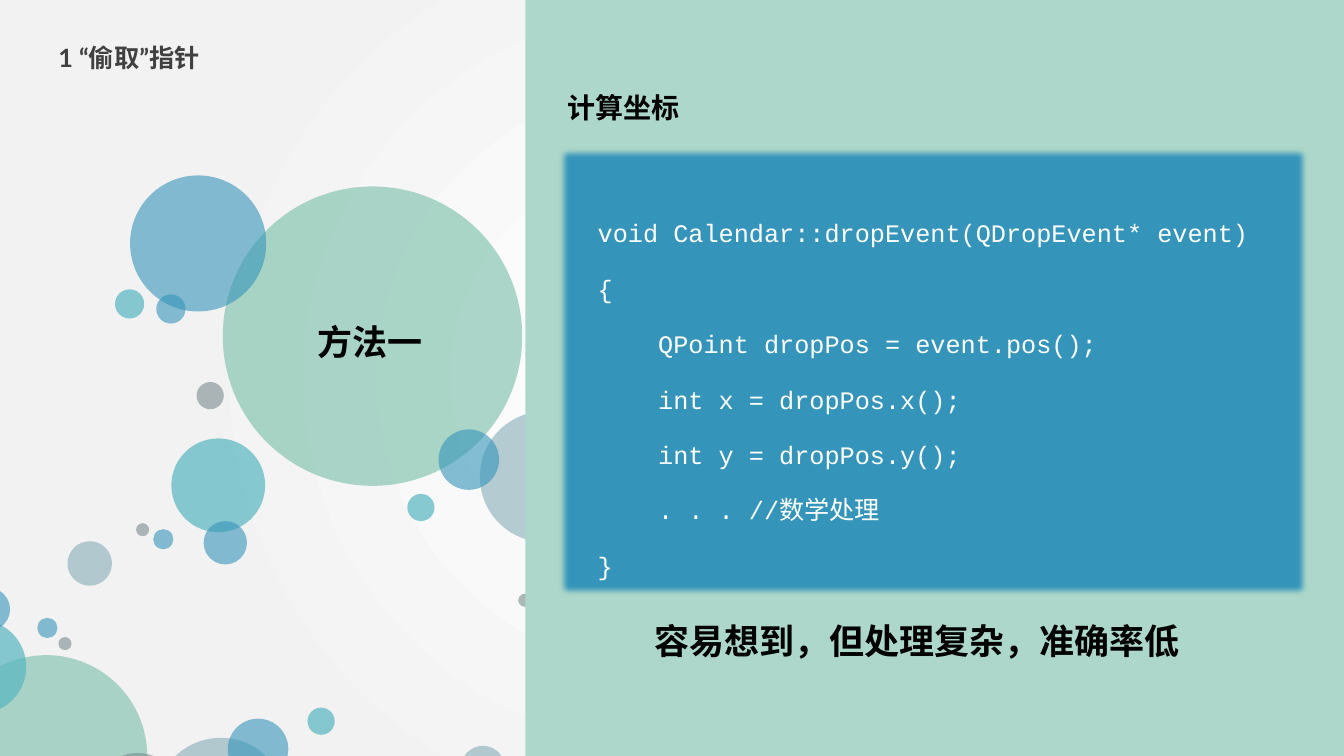
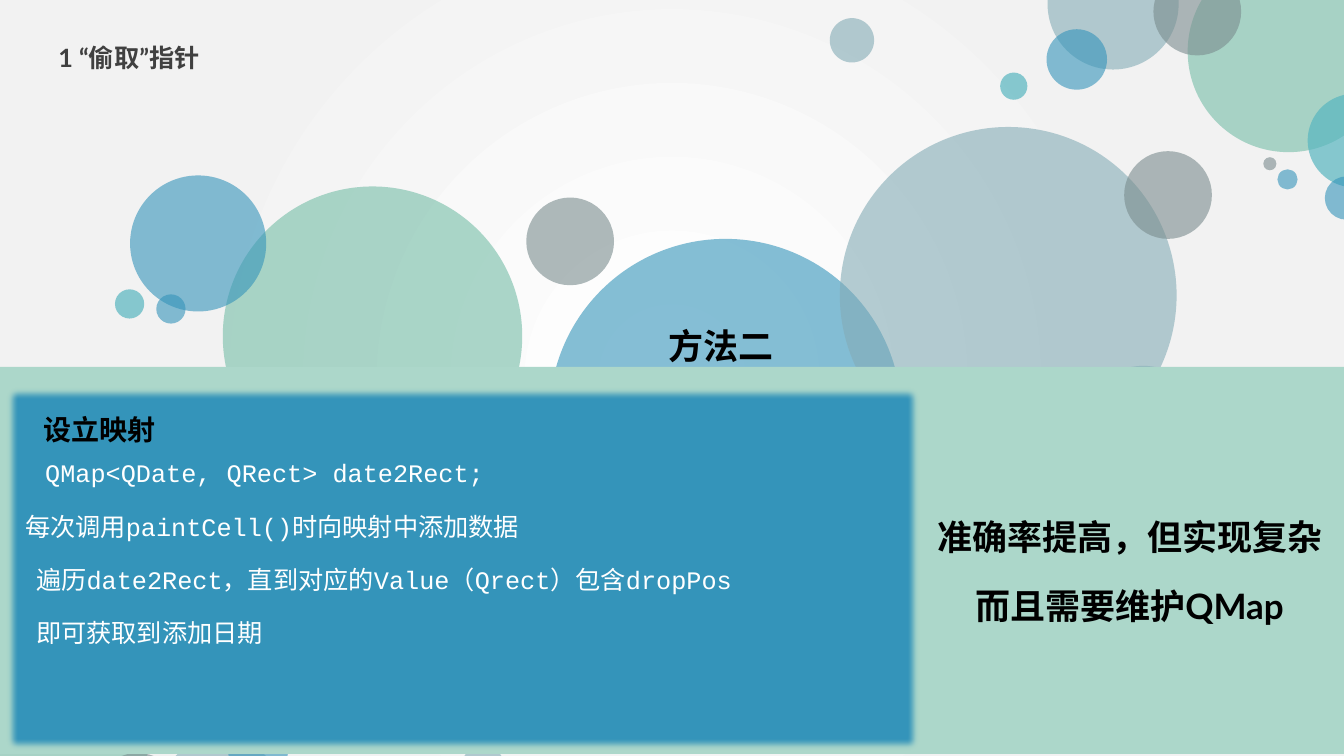
from pptx import Presentation
from pptx.dml.color import RGBColor
from pptx.enum.shapes import MSO_SHAPE
from pptx.enum.text import MSO_ANCHOR, MSO_AUTO_SIZE, PP_ALIGN
from pptx.oxml import parse_xml
from pptx.oxml.ns import nsdecls, qn
from pptx.util import Inches, Pt
from lxml.etree import SubElement

COLORS = {
    "blue": "3494BA",
    "navy": "266D8A",
    "teal": "58B6C0",
    "green": "75BDA7",
    "mist": "84ACB6",
    "gray": "7A8C8E",
    "panel": "ACD7CA",
    "heading": "404040",
    "black": "000000",
    "white": "FFFFFF",
    "haze": "F2F2F2",
}
OPACITY = {"teal": 70}

STYLES = {
    "heading": ({"name": "Lato", "size": Pt(18), "bold": True}, "heading"),
    "topic": ({"name": "Lato", "size": Pt(20), "bold": True}, "black"),
    "statement": ({"name": "Lato", "size": Pt(25), "bold": True}, "black"),
    "code": ({"name": "Courier New", "size": Pt(18), "bold": False}, "white"),
    "prose": ({"name": "Calibri", "size": Pt(18), "bold": False}, "white"),
}

CORNER_BUBBLES = [
    (1.54, 7.32, 1.3, "mist"),
    (-0.54, 6.5, 2, "green"),
    (0.93, 7.47, 0.87, "gray"),
    (2.26, 7.13, 0.6, "blue"),
    (4.57, 7.4, 0.44, "mist"),
]
METHOD_BUBBLES = [
    (5.22, 1.96, 0.87, "gray"),
    (2.21, 1.85, 2.97, "green"),
    (1.29, 1.74, 1.35, "blue"),
    (1.55, 2.92, 0.29, "blue"),
    (1.14, 2.87, 0.29, "teal"),
]
LEFT_BUBBLES = [
    (-0.67, 6.15, 0.93, "teal"),
    (3.05, 7.02, 0.27, "teal"),
    (-0.33, 5.83, 0.43, "blue"),
    (0.37, 6.13, 0.2, "blue"),
    (0.58, 6.32, 0.13, "gray"),
    (4.76, 4.08, 1.3, "mist"),
    (4.35, 4.26, 0.6, "blue"),
    (4.04, 4.9, 0.27, "teal"),
    (5.14, 5.89, 0.13, "gray"),
    (0.67, 5.37, 0.44, "mist"),
    (1.95, 3.79, 0.27, "gray"),
    (1.7, 4.35, 0.93, "teal"),
    (2.02, 5.17, 0.43, "blue"),
    (1.52, 5.25, 0.2, "blue"),
    (1.35, 5.19, 0.13, "gray"),
]
TOP_BUBBLES = [
    (10.39, -0.61, 1.3, "mist"),
    (11.78, -0.49, 2, "green"),
    (11.44, -0.32, 0.87, "gray"),
    (10.38, 0.29, 0.6, "blue"),
    (12.97, 0.93, 0.93, "teal"),
    (9.92, 0.72, 0.27, "teal"),
    (13.14, 1.75, 0.43, "blue"),
    (12.67, 1.68, 0.2, "blue"),
    (12.53, 1.56, 0.13, "gray"),
    (8.23, 0.18, 0.44, "mist"),
    (5.45, 2.37, 3.49, "blue"),
    (8.33, 1.26, 3.34, "mist"),
    (10.69, 3.63, 1.3, "mist"),
    (11.15, 1.5, 0.87, "gray"),
]

DROP_CODE = [
    (0.3, [("void Calendar::dropEvent(QDropEvent* event)", "code")]),
    (0.3, [("{", "code")]),
    (0.3, [("    QPoint dropPos = event.pos();", "code")]),
    (0.3, [("    int x = dropPos.x();", "code")]),
    (0.3, [("    int y = dropPos.y();", "code")]),
    (0.3, [("    . . . //数学处理", "code")]),
    (0.3, [("}", "code")]),
]
MAP_STEPS = [
    (0.3, [("QMap<QDate, QRect> date2Rect;", "code")]),
    (0.1, [("每次调用", "prose"), ("paintCell()", "code"), ("时向映射中添加数据", "prose")]),
    (0.21, [("遍历", "prose"), ("date2Rect", "code"), ("，直到对应的", "prose"),
            ("Value（Qrect）", "code"), ("包含", "prose"), ("dropPos", "code")]),
    (0.21, [("即可获取到添加日期", "prose")]),
]


def rgb(color):
    return RGBColor.from_string(COLORS[color])


def set_background(master):
    master.background.fill.solid()
    background = master.element.find(".//" + qn("p:bgPr"))
    stops = "".join(
        f'<a:gs pos="{position}"><a:srgbClr val="{COLORS[color]}"/></a:gs>'
        for position, color in ((0, "white"), (67000, "haze"), (100000, "haze"))
    )
    gradient = parse_xml(
        f'<a:gradFill {nsdecls("a")} rotWithShape="1"><a:gsLst>{stops}</a:gsLst>'
        '<a:path path="circle"><a:fillToRect l="50000" t="50000" r="50000" b="50000"/>'
        "</a:path></a:gradFill>"
    )
    background.replace(background[0], gradient)


def add_filled(slide, preset, box, color):
    shape = slide.shapes.add_shape(preset, *map(Inches, box))
    shape.shadow.inherit = False
    shape.fill.solid()
    shape.fill.fore_color.rgb = rgb(color)
    shape.line.fill.background()
    return shape


def add_bubbles(slide, bubbles):
    for left, top, diameter, color in bubbles:
        bubble = add_filled(slide, MSO_SHAPE.OVAL, (left, top, diameter, diameter), color)
        tint = bubble._element.spPr.find(qn("a:solidFill"))[0]
        SubElement(tint, qn("a:alpha")).set("val", str(OPACITY.get(color, 60) * 1000))


def add_run(paragraph, text, style):
    run = paragraph.add_run()
    run.text = text
    formats, color = STYLES[style]
    for attribute, value in formats.items():
        setattr(run.font, attribute, value)
    run.font.color.rgb = rgb(color)
    SubElement(run._r.get_or_add_rPr(), qn("a:ea")).set("typeface", formats["name"])


def write_lines(frame, lines, align=PP_ALIGN.LEFT, gap=10):
    layout = {"word_wrap": True, "auto_size": MSO_AUTO_SIZE.NONE,
              "vertical_anchor": MSO_ANCHOR.TOP}
    for attribute, value in layout.items():
        setattr(frame, attribute, value)
    for number, (indent, runs) in enumerate(lines):
        paragraph = frame.add_paragraph() if number else frame.paragraphs[0]
        spacing = {"alignment": align, "line_spacing": 1.3,
                   "space_before": Pt(gap if number else 0)}
        for attribute, value in spacing.items():
            setattr(paragraph, attribute, value)
        if indent:
            paragraph._p.get_or_add_pPr().set("marL", str(Inches(indent)))
        for text, style in runs:
            add_run(paragraph, text, style)


def add_label(slide, box, texts, style="statement", align=PP_ALIGN.CENTER):
    label = slide.shapes.add_textbox(*map(Inches, box))
    write_lines(label.text_frame, [(0, [(text, style)]) for text in texts], align)


def add_code_panel(slide, box, lines, gap):
    panel = add_filled(slide, MSO_SHAPE.RECTANGLE, box, "blue")
    panel.line.color.rgb = rgb("navy")
    panel.line.width = Pt(1)
    effects = panel._element.spPr.find(qn("a:effectLst"))
    SubElement(effects, qn("a:softEdge")).set("rad", "63500")
    panel.text_frame.margin_top = Inches(0.62)
    write_lines(panel.text_frame, lines, gap=gap)


def add_method_slide(deck, bubbles):
    slide = deck.slides.add_slide(deck.slide_layouts[5])
    heading = slide.shapes.title
    places = {"left": 0.48, "top": 0.28, "width": 3.72, "height": 0.44}
    for side, inches in places.items():
        setattr(heading, side, Inches(inches))
    write_lines(heading.text_frame, [(0, [("1 “偷取”指针", "heading")])])
    add_bubbles(slide, CORNER_BUBBLES + METHOD_BUBBLES + bubbles)
    return slide


def add_coordinates_slide(deck):
    slide = add_method_slide(deck, LEFT_BUBBLES)
    add_label(slide, (2.31, 3.01, 2.72, 0.41), ["方法一"])
    add_filled(slide, MSO_SHAPE.RECTANGLE, (5.21, 0, 8.12, 7.5), "panel")
    add_code_panel(slide, (5.53, 1.45, 7.46, 4.48), DROP_CODE, 11.5)
    add_label(slide, (5.53, 0.75, 3.31, 0.54), ["计算坐标"], "topic", PP_ALIGN.LEFT)
    add_label(slide, (5.31, 5.97, 7.57, 0.41), ["容易想到，但处理复杂，准确率低"])


def add_mapping_slide(deck):
    slide = add_method_slide(deck, TOP_BUBBLES)
    add_label(slide, (5.79, 3.05, 2.72, 0.41), ["方法二"])
    add_filled(slide, MSO_SHAPE.RECTANGLE, (-0.03, 3.64, 13.36, 3.84), "panel")
    add_code_panel(slide, (0.05, 3.83, 9.08, 3.63), MAP_STEPS, 10)
    add_label(slide, (0.33, 3.94, 3.31, 0.54), ["设立映射"], "topic", PP_ALIGN.LEFT)
    add_label(slide, (7.42, 4.94, 7.57, 0.41), ["准确率提高，但实现复杂", "而且需要维护QMap"])


def main():
    deck = Presentation()
    deck.slide_width = Inches(13.33)
    deck.slide_height = Inches(7.5)
    set_background(deck.slide_master)
    add_coordinates_slide(deck)
    add_mapping_slide(deck)
    deck.save("out.pptx")


if __name__ == "__main__":
    main()
